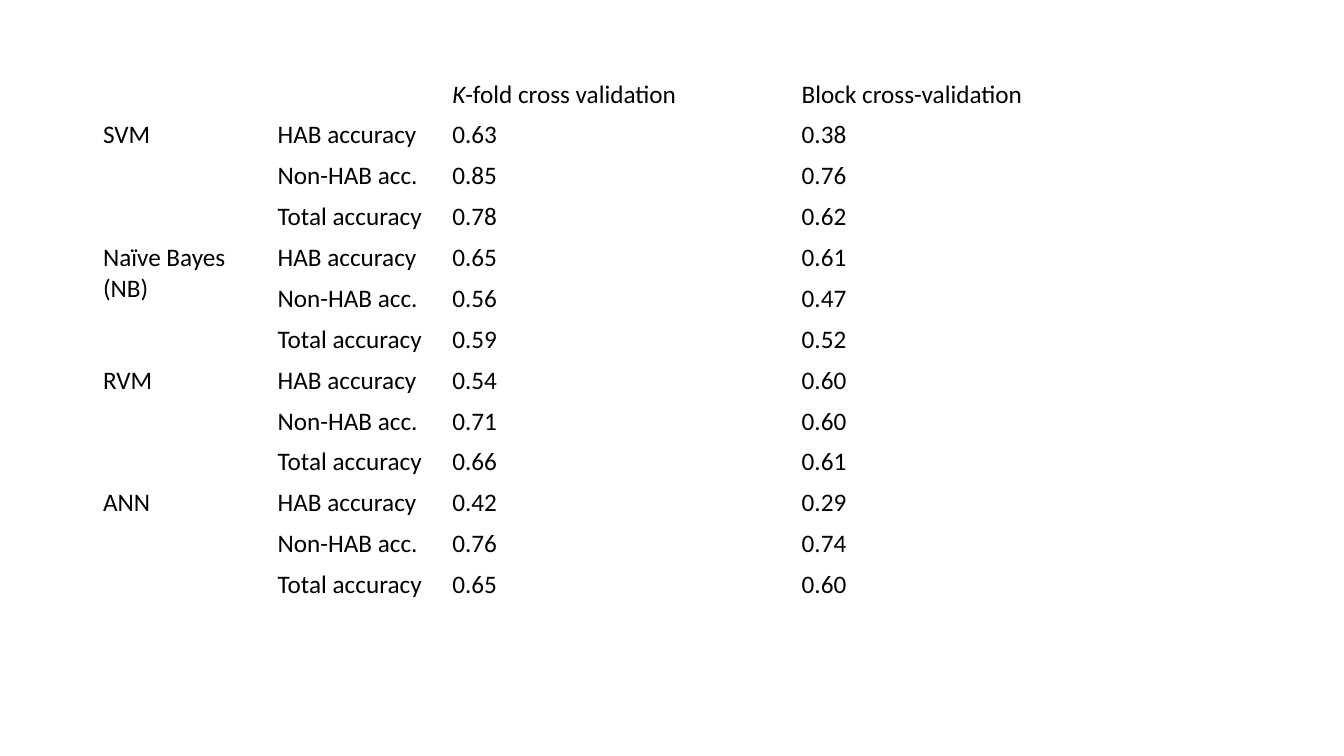
from pptx import Presentation
from pptx.dml.color import RGBColor
from pptx.util import Pt

HEADINGS = [
    [("K", True), ("-fold cross validation", False)],
    [("Block cross-validation", False)],
]
MEASURES = ["HAB accuracy", "Non-HAB acc.", "Total accuracy"]
MODELS = {
    "SVM": [("0.63", "0.38"), ("0.85", "0.76"), ("0.78", "0.62")],
    "Naïve Bayes (NB)": [("0.65", "0.61"), ("0.56", "0.47"), ("0.59", "0.52")],
    "RVM": [("0.54", "0.60"), ("0.71", "0.60"), ("0.66", "0.61")],
    "ANN": [("0.42", "0.29"), ("0.76", "0.74"), ("0.65", "0.60")],
}
COLUMN_SHARES = [1, 1, 2, 2]
SLIDE_SIZE = (1344, 756)
LEFT, TOP, WIDTH, HEIGHT = 93, 74, 1048, 531
TEXT_FORMAT = {"name": "Calibri", "size": Pt(18), "bold": False}
TABLE_FORMAT = {"first_row": False, "horz_banding": False}
INK = "000000"


def px(length):
    return round(length * 914400 / 100.8)


def color(value):
    return RGBColor.from_string(value)


def apply(target, values):
    for key, value in values.items():
        setattr(target, key, value)


def write(cell, pieces):
    paragraph = cell.text_frame.paragraphs[0]
    for words, italic in pieces:
        run = paragraph.add_run()
        run.text = words
        apply(run.font, {**TEXT_FORMAT, "italic": italic})
        run.font.color.rgb = color(INK)


def main():
    presentation = Presentation()
    presentation.slide_width, presentation.slide_height = map(px, SLIDE_SIZE)
    slide = presentation.slides.add_slide(presentation.slide_layouts[6])

    row_count = 1 + len(MODELS) * len(MEASURES)
    scores = slide.shapes.add_table(
        row_count, len(COLUMN_SHARES), px(LEFT), px(TOP), px(WIDTH), px(HEIGHT)
    ).table
    apply(scores, TABLE_FORMAT)
    for column, share in zip(scores.columns, COLUMN_SHARES):
        column.width = px(WIDTH * share / sum(COLUMN_SHARES))
    for row in scores.rows:
        row.height = px(HEIGHT / row_count)
    for cell in scores.iter_cells():
        cell.fill.background()

    scores.cell(0, 0).merge(scores.cell(0, 1))
    for column, heading in enumerate(HEADINGS, 2):
        write(scores.cell(0, column), heading)

    for group, (model, results) in enumerate(MODELS.items()):
        first = 1 + group * len(MEASURES)
        model_cell = scores.cell(first, 0)
        model_cell.merge(scores.cell(first + len(MEASURES) - 1, 0))
        write(model_cell, [(model, False)])
        for row, (measure, values) in enumerate(zip(MEASURES, results), first):
            for column, words in enumerate((measure, *values), 1):
                write(scores.cell(row, column), [(words, False)])

    presentation.save("out.pptx")


if __name__ == "__main__":
    main()
